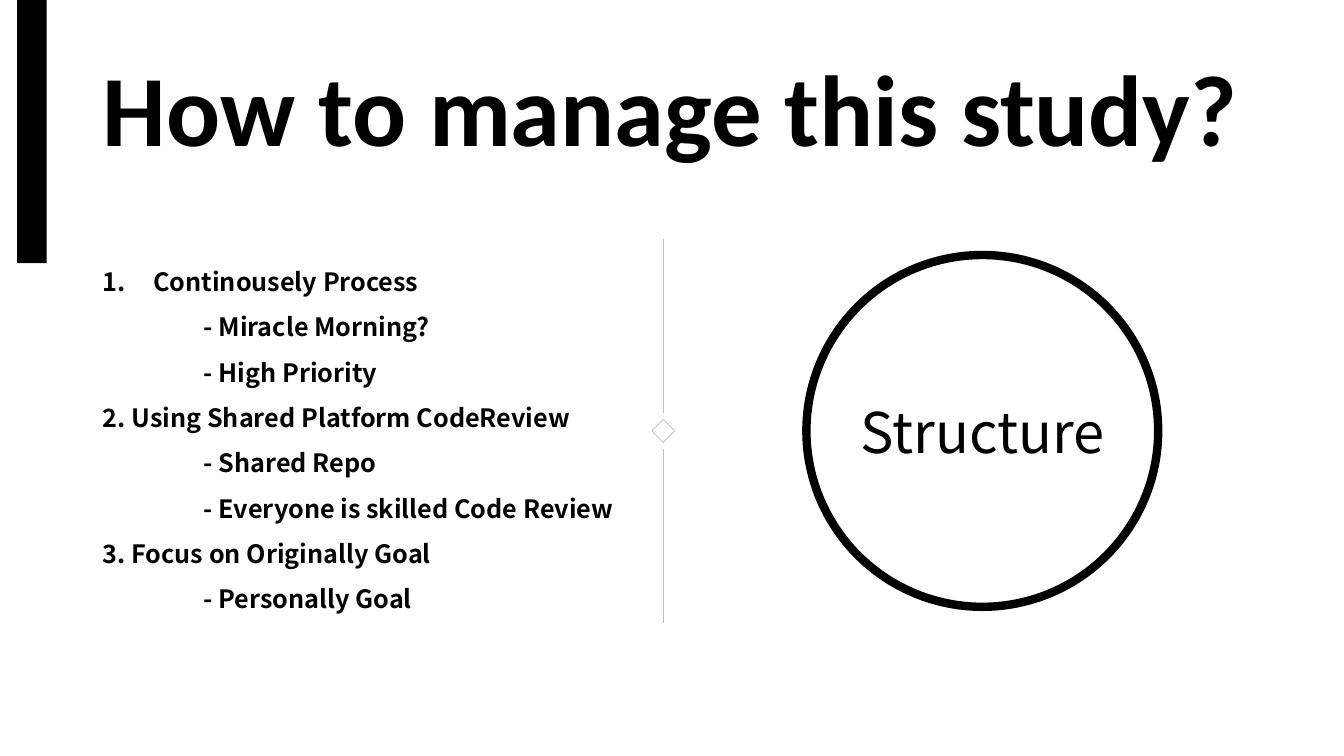
import pptx
import pptx.dml.color
import pptx.enum.shapes
import pptx.enum.text
import pptx.oxml.ns
import pptx.util
from lxml import etree

Pt = pptx.util.Pt
Shapes = pptx.enum.shapes.MSO_SHAPE
Align = pptx.enum.text.PP_ALIGN
Anchor = pptx.enum.text.MSO_ANCHOR
AutoSize = pptx.enum.text.MSO_AUTO_SIZE

BLACK, GREY = "000000", "BFBFBF"
TITLE_FONT, TEXT_FONT = "Calibri", "Noto Sans CJK KR"
DIVIDER_X, MIDDLE_Y = 473.76, 307.8

POINTS = [
    ("Continousely Process", "number"),
    ("- Miracle Morning?", "detail"),
    ("- High Priority", "detail"),
    ("2. Using Shared Platform CodeReview", "plain"),
    ("- Shared Repo", "detail"),
    ("- Everyone is skilled Code Review", "detail"),
    ("3. Focus on Originally Goal", "plain"),
    ("- Personally Goal", "detail"),
]
INDENTS = {"number": (36, -36), "detail": (72, 0), "plain": (0, 0)}


def color(value):
    """Turn a hex string into a colour."""
    return pptx.dml.color.RGBColor.from_string(value)


def place(shape, left, top, width, height):
    """Set the position and size of a shape in points."""
    shape.left, shape.top = Pt(left), Pt(top)
    shape.width, shape.height = Pt(width), Pt(height)


def add_run(paragraph, text, size, font, bold=False):
    """Add a formatted black run to a paragraph."""
    run = paragraph.add_run()
    run.text = text
    run.font.size, run.font.name, run.font.bold = Pt(size), font, bold
    run.font.color.rgb = color(BLACK)


def set_bullet(paragraph, style):
    """Set the indent of a list paragraph and its automatic number, if any."""
    properties = paragraph._p.get_or_add_pPr()
    margin, indent = INDENTS[style]
    properties.set("marL", str(Pt(margin)))
    properties.set("indent", str(Pt(indent)))
    if style == "number":
        tag = pptx.oxml.ns.qn("a:buAutoNum")
        etree.SubElement(properties, tag, type="arabicPeriod")
    else:
        etree.SubElement(properties, pptx.oxml.ns.qn("a:buNone"))


def add_figure(slide, kind, box, fill=None, line=None, weight=0):
    """Add a preset shape with an optional fill and outline."""
    shape = slide.shapes.add_shape(kind, *map(Pt, box))
    shape.shadow.inherit = False
    if fill:
        shape.fill.solid()
        shape.fill.fore_color.rgb = color(fill)
    else:
        shape.fill.background()
    if line:
        shape.line.color.rgb = color(line)
        shape.line.width = Pt(weight)
    else:
        shape.line.fill.background()
    return shape


def add_vertical_line(slide, x, top, bottom):
    """Add a thin grey vertical line."""
    connector = slide.shapes.add_connector(
        pptx.enum.shapes.MSO_CONNECTOR.STRAIGHT, Pt(x), Pt(top), Pt(x), Pt(bottom))
    connector.line.color.rgb = color(GREY)
    connector.line.width = Pt(0.5)
    etree.SubElement(connector._element.spPr, pptx.oxml.ns.qn("a:effectLst"))


def add_divider(slide):
    """Add two line halves with a small diamond between them."""
    for near, far in ((-12.6, -137.2), (12.6, 137.2)):
        add_vertical_line(slide, DIVIDER_X, MIDDLE_Y + near, MIDDLE_Y + far)
    side = 11.6
    box = (DIVIDER_X - side / 2, MIDDLE_Y - side / 2, side, side)
    add_figure(slide, Shapes.RECTANGLE, box, line=GREY, weight=0.5).rotation = 45


def fill_title(title, text):
    """Place and format the slide title."""
    place(title, 66.24, 28.8, 828, 104.4)
    frame = title.text_frame
    frame.auto_size = AutoSize.NONE
    frame.vertical_anchor = Anchor.MIDDLE
    paragraph = frame.paragraphs[0]
    paragraph.alignment = Align.LEFT
    paragraph.line_spacing = 0.9
    add_run(paragraph, text, 72, TITLE_FONT, bold=True)


def fill_list(body):
    """Place the body and write the study points into it."""
    place(body, 66.24, 175.68, 429.84, 264.96)
    frame = body.text_frame
    frame.auto_size = AutoSize.SHAPE_TO_FIT_TEXT
    frame.vertical_anchor = Anchor.TOP
    for index, (text, style) in enumerate(POINTS):
        paragraph = frame.add_paragraph() if index else frame.paragraphs[0]
        paragraph.line_spacing = 1.5
        paragraph.space_before = Pt(0)
        set_bullet(paragraph, style)
        add_run(paragraph, text, 18, TEXT_FONT, bold=True)


def add_label(slide, text, box):
    """Add a centred text box."""
    frame = slide.shapes.add_textbox(*map(Pt, box)).text_frame
    frame.word_wrap = True
    frame.auto_size = AutoSize.SHAPE_TO_FIT_TEXT
    paragraph = frame.paragraphs[0]
    paragraph.alignment = Align.CENTER
    add_run(paragraph, text, 40, TEXT_FONT)


def main():
    """Build the slide and save it."""
    presentation = pptx.Presentation()
    presentation.slide_width, presentation.slide_height = Pt(960), Pt(540)
    slide = presentation.slides.add_slide(presentation.slide_layouts[1])
    for placeholder in slide.placeholders:
        if placeholder.placeholder_format.idx > 1:
            placeholder.element.getparent().remove(placeholder.element)
    add_figure(slide, Shapes.RECTANGLE, (12.24, 0, 21, 188), fill=BLACK)
    fill_title(slide.shapes.title, "How to manage this study?")
    add_divider(slide)
    add_label(slide, "Structure", (558.72, 280.08, 286.56, 55.44))
    add_figure(slide, Shapes.OVAL, (576, 182.16, 251.28, 251.28), line=BLACK, weight=6)
    fill_list(slide.placeholders[1])
    presentation.save("out.pptx")


if __name__ == "__main__":
    main()
